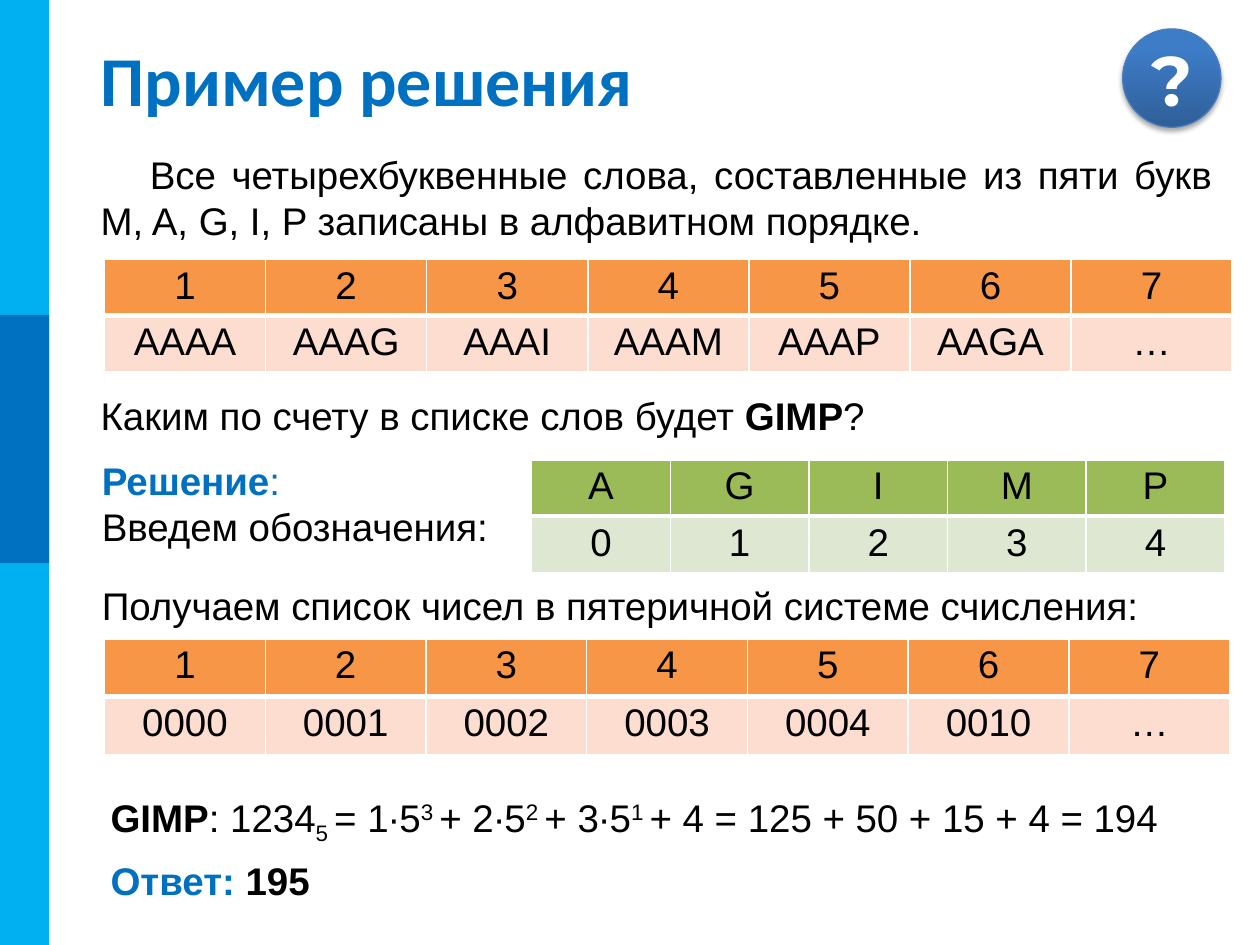
from dataclasses import dataclass

from lxml import etree
from pptx import Presentation
from pptx.dml.color import RGBColor
from pptx.enum.shapes import MSO_SHAPE
from pptx.enum.text import MSO_ANCHOR, PP_ALIGN
from pptx.oxml.ns import qn
from pptx.util import Inches, Pt

RECTANGLE, OVAL = MSO_SHAPE.RECTANGLE, MSO_SHAPE.OVAL
TOP, MIDDLE = MSO_ANCHOR.TOP, MSO_ANCHOR.MIDDLE
LEFT, CENTER, JUSTIFY = PP_ALIGN.LEFT, PP_ALIGN.CENTER, PP_ALIGN.JUSTIFY
COLUMNS, ROWS = 100, 75


@dataclass(frozen=True)
class Theme:
    black: str = "000000"
    white: str = "FFFFFF"
    sky: str = "00B0F0"
    blue: str = "0070C0"
    badge_dark: str = "2F5F99"
    badge_light: str = "3D7CC7"
    badge_line: str = "4B7EBC"
    orange: tuple = ("F79646", "FCDDCF")
    green: tuple = ("9BBB59", "DEE7D1")
    title_font: str = "Calibri"
    body_font: str = "Arial"
    badge_font: str = "Montserrat"
    title_size: int = 40
    body_size: int = 22


THEME = Theme()
BOLD = {"bold": True}
ACCENT = {"bold": True, "color": THEME.blue}
SUBSCRIPT, SUPERSCRIPT = {"baseline": -25}, {"baseline": 30}
TITLE = {"name": THEME.title_font, "size": THEME.title_size, **ACCENT}
BADGE = {"name": THEME.badge_font, "size": THEME.title_size, "bold": True,
         "color": THEME.white}


class SlideBuilder:
    """Draws on one slide; lengths are grid columns and rows."""

    def __init__(self, presentation, theme):
        self.theme = theme
        self.slide = presentation.slides.add_slide(presentation.slide_layouts[6])
        self.column = presentation.slide_width / COLUMNS
        self.row = presentation.slide_height / ROWS

    def box(self, left, top, width, height):
        return (round(left * self.column), round(top * self.row),
                round(width * self.column), round(height * self.row))

    def fill_paragraph(self, paragraph, runs, align=LEFT, space_before=0, indent=0):
        formats = {"alignment": align, "space_before": Pt(space_before)}
        for name, value in formats.items():
            setattr(paragraph, name, value)
        if indent:
            paragraph._p.get_or_add_pPr().set("indent", str(round(indent * self.column)))
        for text, changes in runs:
            style = {"name": self.theme.body_font, "size": self.theme.body_size,
                     "bold": False, "color": self.theme.black, **changes}
            run = paragraph.add_run()
            run.text = text
            run.font.color.rgb = RGBColor.from_string(style.pop("color"))
            baseline = style.pop("baseline", 0)
            style["size"] = Pt(style["size"])
            for name, value in style.items():
                setattr(run.font, name, value)
            if baseline:
                run._r.get_or_add_rPr().set("baseline", str(baseline * 1000))

    def text(self, place, paragraphs, anchor=TOP):
        frame = self.slide.shapes.add_textbox(*self.box(*place)).text_frame
        frame.word_wrap = True
        frame.vertical_anchor = anchor
        for index, (runs, layout) in enumerate(paragraphs):
            paragraph = frame.add_paragraph() if index else frame.paragraphs[0]
            self.fill_paragraph(paragraph, runs, **layout)

    def band(self, place, color):
        shape = self.slide.shapes.add_shape(RECTANGLE, *self.box(*place))
        shape.shadow.inherit = False
        shape.fill.solid()
        shape.fill.fore_color.rgb = RGBColor.from_string(color)
        shape.line.fill.background()

    def badge(self, place, sign):
        shape = self.slide.shapes.add_shape(OVAL, *self.box(*place))
        shape.fill.gradient()
        shape.fill.gradient_angle = 90
        stops = ((0, self.theme.badge_dark), (0.8, self.theme.badge_light))
        for stop, (position, color) in zip(shape.fill.gradient_stops, stops):
            stop.position = position
            stop.color.rgb = RGBColor.from_string(color)
        shape.line.color.rgb = RGBColor.from_string(self.theme.badge_line)
        shape.line.width = Pt(0.75)
        # Soft shadow below the circle
        shape.shadow.inherit = False
        effects = shape._element.spPr.find(qn("a:effectLst"))
        shadow = etree.SubElement(effects, qn("a:outerShdw"), blurRad=str(Pt(3.1)),
                                  dist=str(Pt(1.8)), dir="5400000", rotWithShape="0")
        color = etree.SubElement(shadow, qn("a:srgbClr"), val=self.theme.black)
        etree.SubElement(color, qn("a:alpha"), val="35000")
        frame = shape.text_frame
        frame.word_wrap = False
        frame.vertical_anchor = MIDDLE
        self.fill_paragraph(frame.paragraphs[0], [(sign, BADGE)], CENTER)

    def borders(self, cell, **widths):
        properties = cell._tc.get_or_add_tcPr()
        for side in "LRTB":
            line = etree.SubElement(properties, qn(f"a:ln{side}"),
                                    w=str(Pt(widths.get(side, 1))))
            fill = etree.SubElement(line, qn("a:solidFill"))
            etree.SubElement(fill, qn("a:srgbClr"), val=self.theme.white)

    def table(self, left, top, width, row_height, records, fills):
        place = self.box(left, top, width, row_height * len(records))
        table = self.slide.shapes.add_table(len(records), len(records[0]), *place).table
        for column in table.columns:
            column.width = round(place[2] / len(records[0]))
        for index, (record, color) in enumerate(zip(records, fills)):
            table.rows[index].height = round(row_height * self.row)
            heavy = {"T": 3} if index else {"B": 3}
            for position, value in enumerate(record):
                cell = table.cell(index, position)
                cell.margin_top = cell.margin_bottom = Inches(0.04)
                self.borders(cell, **heavy)
                cell.fill.solid()
                cell.fill.fore_color.rgb = RGBColor.from_string(color)
                self.fill_paragraph(cell.text_frame.paragraphs[0], [(value, {})], CENTER)


def main():
    presentation = Presentation()
    presentation.slide_width, presentation.slide_height = Inches(10), Inches(7.5)
    builder = SlideBuilder(presentation, THEME)
    numbers = [str(number) for number in range(1, 8)]

    # Side band, badge and title
    builder.band((0, 0, 3.9, 75), THEME.sky)
    builder.band((0, 25, 3.9, 19.7), THEME.blue)
    builder.badge((89.1, 2.3, 7.8, 7.8), "?")
    builder.text((7, 3, 90.2, 6.4), [([("Пример решения", TITLE)], {})], MIDDLE)

    # Problem
    builder.text((7, 11.5, 90.2, 13.8), [(
        [("Все четырехбуквенные слова, составленные из пяти букв "
          "M, A, G, I, P записаны в алфавитном порядке.", {})],
        {"align": JUSTIFY, "space_before": 4.4, "indent": 3.9})])
    words = ["AAAA", "AAAG", "AAAI", "AAAM", "AAAP", "AAGA", "…"]
    builder.table(8.3, 20.6, 89.5, 4.4, [numbers, words], THEME.orange)
    builder.text((7, 30.6, 88.5, 4.7), [(
        [("Каким по счету в списке слов будет ", {}), ("GIMP", BOLD), ("?", {})], {})])

    # Letter codes
    builder.text((7.1, 35.8, 90, 12.4), [
        ([("Решение", ACCENT), (":", {"color": THEME.blue})], {}),
        ([("Введем обозначения:", {})], {})])
    builder.table(42.2, 36.5, 55, 4.4, ["AGIMP", "01234"], THEME.green)

    # Base-five list
    builder.text((7.1, 45.7, 91.4, 4.9), [(
        [("Получаем список чисел в пятеричной системе счисления:", {})], {})])
    codes = ["0000", "0001", "0002", "0003", "0004", "0010", "…"]
    builder.table(8.3, 50.7, 89.3, 4.6, [numbers, codes], THEME.orange)

    # Calculation and answer
    builder.text((7.8, 62.5, 88.7, 10.4), [
        ([("GIMP", BOLD), (": 1234", {}), ("5 ", SUBSCRIPT),
          ("= 1∙5", {}), ("3 ", SUPERSCRIPT), ("+ 2∙5", {}), ("2 ", SUPERSCRIPT),
          ("+ 3∙5", {}), ("1 ", SUPERSCRIPT),
          ("+ 4 = 125 + 50 + 15 + 4 = 194", {})], {}),
        ([("Ответ:", ACCENT), (" 195", BOLD)], {"space_before": 6})])

    presentation.save("out.pptx")


if __name__ == "__main__":
    main()
